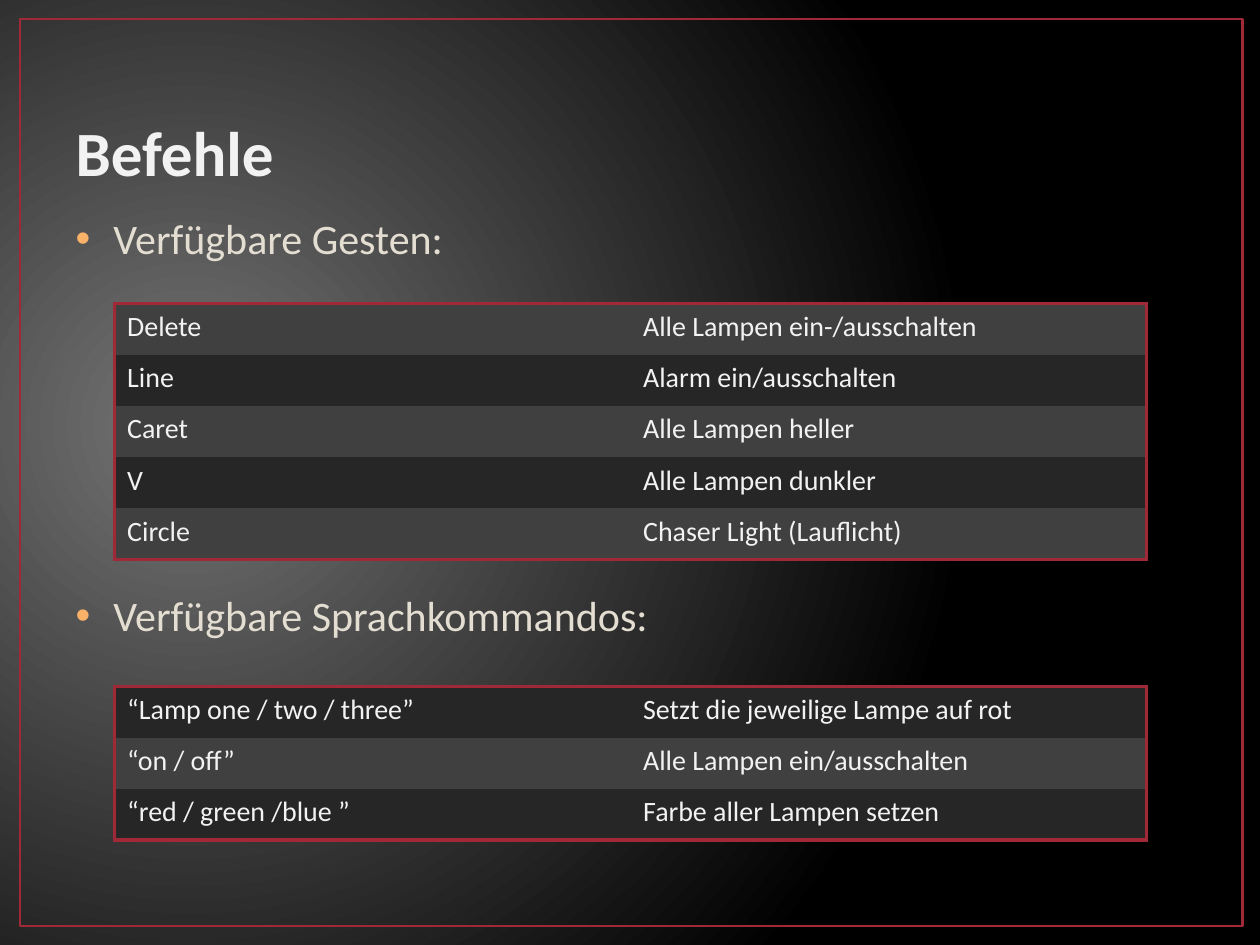
from lxml.etree import SubElement
from pptx import Presentation
from pptx.dml.color import RGBColor
from pptx.enum.shapes import MSO_SHAPE
from pptx.enum.text import MSO_ANCHOR, MSO_AUTO_SIZE, PP_ALIGN
from pptx.oxml import parse_xml
from pptx.oxml.ns import nsdecls, qn
from pptx.util import Inches, Pt

TITLE = "Befehle"
GESTURES = [
    ("Delete", "Alle Lampen ein-/ausschalten"),
    ("Line", "Alarm ein/ausschalten"),
    ("Caret", "Alle Lampen heller"),
    ("V", "Alle Lampen dunkler"),
    ("Circle", "Chaser Light (Lauflicht)"),
]
VOICE_COMMANDS = [
    ("“Lamp one / two / three”", "Setzt die jeweilige Lampe auf rot"),
    ("“on / off”", "Alle Lampen ein/ausschalten"),
    ("“red / green /blue ”", "Farbe aller Lampen setzen"),
]
HEADINGS = [("Verfügbare Gesten:", 0), ("Verfügbare Sprachkommandos:", 186.5)]

GLOW = RGBColor(0x74, 0x74, 0x74)
BLACK = RGBColor(0, 0, 0)
RED = RGBColor(0x9F, 0x29, 0x36)
ORANGE = RGBColor(0xF9, 0xB2, 0x68)
CREAM = RGBColor(0xE3, 0xDE, 0xD1)
WHITE = RGBColor(0xF2, 0xF2, 0xF2)
LIGHT_BAND = RGBColor(0x40, 0x40, 0x40)
DARK_BAND = RGBColor(0x26, 0x26, 0x26)

FONT = "Calibri"
NO_STYLE = "{2D5ABB26-0587-4C30-8999-92F81FD0307C}"
TABLE_LEFT, TABLE_WIDTH, ROW_HEIGHT = 0.91, 8.19, 0.406
TABLES = [
    (GESTURES, 2.41, (LIGHT_BAND, DARK_BAND)),
    (VOICE_COMMANDS, 5.45, (DARK_BAND, LIGHT_BAND)),
]


def write(paragraph, text, size, color, bold=False, before=0):
    paragraph.alignment = PP_ALIGN.LEFT
    paragraph.space_before = Pt(before)
    run = paragraph.add_run()
    run.text = text
    run.font.name = FONT
    run.font.size = Pt(size)
    run.font.bold = bold
    run.font.color.rgb = color


def place(part, left, top, width, height):
    part.left, part.top = Inches(left), Inches(top)
    part.width, part.height = Inches(width), Inches(height)


def add_bullet(paragraph):
    properties = paragraph._p.get_or_add_pPr()
    properties.set("marL", str(Inches(0.3)))
    properties.set("indent", str(Inches(-0.3)))
    color = SubElement(properties, qn("a:buClr"))
    SubElement(color, qn("a:srgbClr")).set("val", str(ORANGE))
    SubElement(properties, qn("a:buFont")).set("typeface", "Arial")
    SubElement(properties, qn("a:buChar")).set("char", "•")


def add_borders(cell, sides):
    properties = cell._tc.get_or_add_tcPr()
    for index, side in enumerate(sides):
        properties.insert(index, parse_xml(
            f'<a:ln{side} {nsdecls("a")} w="{Pt(2.25)}"><a:solidFill>'
            f'<a:srgbClr val="{RED}"/></a:solidFill></a:ln{side}>'))


def add_commands(slide, commands, top, bands):
    rows, columns = len(commands), len(commands[0])
    frame = slide.shapes.add_table(
        rows, columns, Inches(TABLE_LEFT), Inches(top),
        Inches(TABLE_WIDTH), Inches(ROW_HEIGHT * rows))
    table = frame.table
    table.first_row = table.horz_banding = False
    table._tbl.tblPr.find(qn("a:tableStyleId")).text = NO_STYLE
    for r, command in enumerate(commands):
        for c, text in enumerate(command):
            cell = table.cell(r, c)
            cell.fill.solid()
            cell.fill.fore_color.rgb = bands[r % 2]
            write(cell.text_frame.paragraphs[0], text, 16, WHITE)
            edges = {"L": c == 0, "R": c == columns - 1,
                     "T": r == 0, "B": r == rows - 1}
            add_borders(cell, [side for side, outer in edges.items() if outer])


def paint_background(slide):
    fill = slide.background.fill
    fill.gradient()
    for stop, color, position in zip(fill.gradient_stops, (GLOW, BLACK), (0, 1)):
        stop.color.rgb = color
        stop.position = position
    gradient = slide.background._cSld.find(".//" + qn("a:gradFill"))
    linear = gradient.find(qn("a:lin"))
    gradient.replace(linear, parse_xml(
        f'<a:path {nsdecls("a")} path="circle">'
        '<a:fillToRect l="15000" t="50000" r="85000" b="60000"/></a:path>'))


deck = Presentation()
deck.slide_width, deck.slide_height = Inches(10), Inches(7.5)
slide = deck.slides.add_slide(deck.slide_layouts[1])
paint_background(slide)

border = slide.shapes.add_shape(
    MSO_SHAPE.RECTANGLE, Inches(0.16), Inches(0.15), Inches(9.7), Inches(7.2))
border.shadow.inherit = False
border.fill.background()
border.line.color.rgb = RED
border.line.width = Pt(1.5)

title, body = slide.shapes.title, slide.placeholders[1]
place(title, 0.5, 0.3, 9, 1.25)
place(body, 0.5, 1.64, 7.57, 4.95)
for part, anchor in ((title, MSO_ANCHOR.BOTTOM), (body, MSO_ANCHOR.TOP)):
    part.text_frame.vertical_anchor = anchor
    part.text_frame.auto_size = MSO_AUTO_SIZE.NONE
    part.text_frame.word_wrap = True

write(title.text_frame.paragraphs[0], TITLE, 36, WHITE, bold=True)
for index, (heading, before) in enumerate(HEADINGS):
    frame = body.text_frame
    paragraph = frame.add_paragraph() if index else frame.paragraphs[0]
    write(paragraph, heading, 24, CREAM, before=before)
    add_bullet(paragraph)

for commands, top, bands in TABLES:
    add_commands(slide, commands, top, bands)

deck.save("out.pptx")
